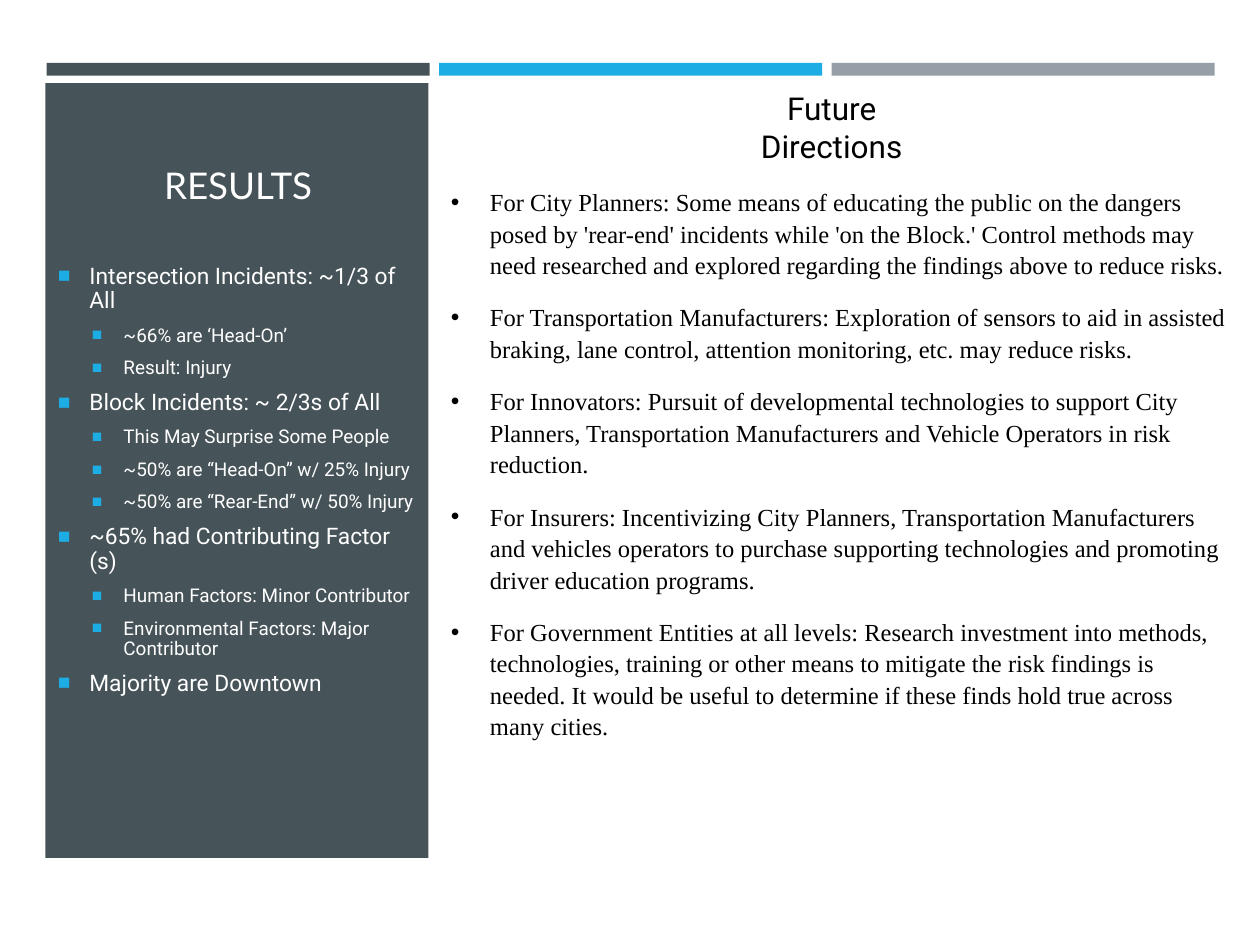
from dataclasses import dataclass

from lxml import etree
from pptx import Presentation
from pptx.dml.color import RGBColor
from pptx.enum.shapes import MSO_SHAPE
from pptx.enum.text import MSO_ANCHOR, MSO_AUTO_SIZE, PP_ALIGN
from pptx.oxml.ns import qn
from pptx.util import Inches, Pt

RECTANGLE = MSO_SHAPE.RECTANGLE
TOP, BOTTOM = MSO_ANCHOR.TOP, MSO_ANCHOR.BOTTOM
NO_AUTOFIT = MSO_AUTO_SIZE.NONE
LEFT, CENTER = PP_ALIGN.LEFT, PP_ALIGN.CENTER

WHITE = RGBColor(0xFF, 0xFF, 0xFF)
BLACK = RGBColor(0x00, 0x00, 0x00)
SLATE = RGBColor(0x46, 0x53, 0x59)
BLUE = RGBColor(0x1C, 0xAD, 0xE4)
GRAY = RGBColor(0x96, 0x9F, 0xA7)


@dataclass(frozen=True)
class Box:
    left: float
    top: float
    width: float
    height: float

    def lengths(self):
        return [Inches(v) for v in (self.left, self.top, self.width, self.height)]


@dataclass(frozen=True)
class TextStyle:
    font: str
    size: float
    color: RGBColor
    align: PP_ALIGN = LEFT


@dataclass(frozen=True)
class ListStyle:
    text: TextStyle
    indent: float
    hanging: float
    line_spacing: float
    before: float
    after: float
    bullet: str
    bullet_color: RGBColor
    bullet_percent: int
    level: int = 0


@dataclass(frozen=True)
class Item:
    text: str
    style: ListStyle


BAR_LEFT, BAR_WIDTH, BAR_STEP = 0.37, 3.04, 3.115
BAR_COLORS = [SLATE, BLUE, GRAY]
SIDEBAR = Box(0.36, 0.66, 3.04, 6.15)

TITLE = TextStyle("Lato", 21, WHITE, CENTER)
HEADING = TextStyle("Roboto", 18, BLACK, CENTER)
FINDING = ListStyle(TextStyle("Roboto", 13, WHITE),
                    0.25, 0.25, 0.9, 2.4, 4.5, "■", BLUE, 92)
DETAIL = ListStyle(TextStyle("Roboto", 10.8, WHITE),
                   0.52, 0.25, 0.9, 2.4, 4.5, "■", BLUE, 92, 1)
DIRECTION = ListStyle(TextStyle("Times New Roman", 14, BLACK),
                      0.31, 0.31, 1.07, 12, 0, "•", BLACK, 100)

RESULTS = [
    Item("Intersection Incidents: ~1/3 of All", FINDING),
    Item("~66% are ‘Head-On’", DETAIL),
    Item("Result: Injury", DETAIL),
    Item("Block Incidents: ~ 2/3s of All", FINDING),
    Item("This May Surprise Some People", DETAIL),
    Item("~50% are “Head-On” w/ 25% Injury", DETAIL),
    Item("~50% are “Rear-End” w/ 50% Injury", DETAIL),
    Item("~65% had Contributing Factor (s)", FINDING),
    Item("Human Factors: Minor Contributor", DETAIL),
    Item("Environmental Factors: Major Contributor", DETAIL),
    Item("Majority are Downtown", FINDING),
]

DIRECTIONS = [Item(text, DIRECTION) for text in (
    "For City Planners: Some means of educating the public on the dangers "
    "posed by 'rear-end' incidents while 'on the Block.' Control methods may "
    "need researched and explored regarding the findings above to reduce risks.",
    "For Transportation Manufacturers: Exploration of sensors to aid in "
    "assisted braking, lane control, attention monitoring, etc. may reduce risks.",
    "For Innovators: Pursuit of developmental technologies to support City "
    "Planners, Transportation Manufacturers and Vehicle Operators in risk reduction.",
    "For Insurers: Incentivizing City Planners, Transportation Manufacturers "
    "and vehicles operators to purchase supporting technologies and promoting "
    "driver education programs.",
    "For Government Entities at all levels: Research investment into methods, "
    "technologies, training or other means to mitigate the risk findings is "
    "needed. It would be useful to determine if these finds hold true across "
    "many cities.",
)]


def add_panel(slide, box: Box, color: RGBColor) -> None:
    panel = slide.shapes.add_shape(RECTANGLE, *box.lengths())
    panel.shadow.inherit = False
    panel.fill.solid()
    panel.fill.fore_color.rgb = color
    panel.line.fill.background()


def place(shape, box: Box, anchor: MSO_ANCHOR) -> None:
    shape.left, shape.top, shape.width, shape.height = box.lengths()
    frame = shape.text_frame
    frame.word_wrap = True
    frame.auto_size = NO_AUTOFIT
    frame.vertical_anchor = anchor


def format_text(paragraph, style: TextStyle) -> None:
    paragraph.alignment = style.align
    font = paragraph.font
    font.name, font.size = style.font, Pt(style.size)
    font.color.rgb = style.color


def add_bullet(paragraph, style: ListStyle) -> None:
    properties = paragraph._p.get_or_add_pPr()
    properties.set("marL", str(Inches(style.indent)))
    properties.set("indent", str(-Inches(style.hanging)))
    color = etree.SubElement(properties, qn("a:buClr"))
    etree.SubElement(color, qn("a:srgbClr"), val=str(style.bullet_color))
    etree.SubElement(properties, qn("a:buSzPct"), val=str(style.bullet_percent * 1000))
    etree.SubElement(properties, qn("a:buFont"), typeface="Arial")
    etree.SubElement(properties, qn("a:buChar"), char=style.bullet)


def write_list(frame, items: list[Item]) -> None:
    for index, item in enumerate(items):
        paragraph = frame.add_paragraph() if index else frame.paragraphs[0]
        style = item.style
        paragraph.text = item.text
        paragraph.level = style.level
        paragraph.line_spacing = style.line_spacing
        paragraph.space_before = Pt(style.before)
        paragraph.space_after = Pt(style.after)
        add_bullet(paragraph, style)
        format_text(paragraph, style.text)


def write_line(frame, text: str, style: TextStyle) -> None:
    frame.text = text
    format_text(frame.paragraphs[0], style)


def main() -> None:
    deck = Presentation()
    deck.slide_width, deck.slide_height = Inches(10), Inches(7.5)
    slide = deck.slides.add_slide(deck.slide_layouts[1])
    shapes = slide.shapes
    title, results = shapes.title, slide.placeholders[1]

    add_panel(slide, Box(0, 0, 10, 7.5), WHITE)
    for index, color in enumerate(BAR_COLORS):
        add_panel(slide, Box(BAR_LEFT + index * BAR_STEP, 0.5, BAR_WIDTH, 0.1), color)
    add_panel(slide, SIDEBAR, SLATE)

    for placeholder in (title, results):
        shapes._spTree.append(placeholder._element)
    place(title, Box(0.49, 0.77, 2.8, 0.92), BOTTOM)
    write_line(title.text_frame, "RESULTS", TITLE)
    place(results, Box(0.36, 1.8, 3.04, 4.76), TOP)
    results.text_frame.margin_top = Inches(0.3)
    write_list(results.text_frame, RESULTS)

    heading_box = Box(5.59, 0.66, 2.02, 0.4)
    heading = shapes.add_textbox(*heading_box.lengths())
    place(heading, heading_box, TOP)
    write_line(heading.text_frame, "Future Directions", HEADING)

    directions_box = Box(3.48, 1.42, 6.39, 4.8)
    directions = shapes.add_textbox(*directions_box.lengths())
    place(directions, directions_box, TOP)
    write_list(directions.text_frame, DIRECTIONS)

    deck.save("out.pptx")


if __name__ == "__main__":
    main()
